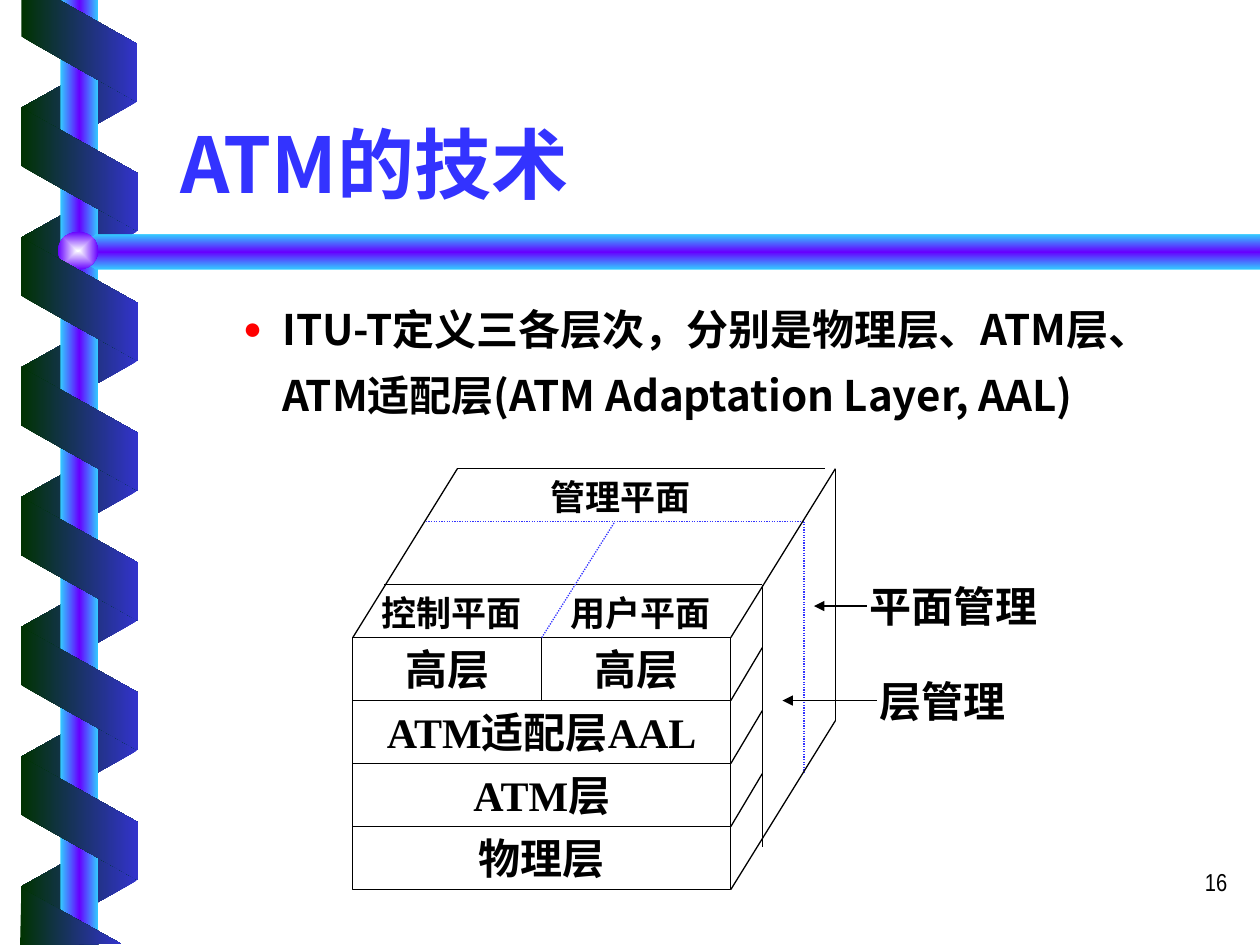
from lxml import etree
from pptx import Presentation, util as u
from pptx.dml.color import RGBColor
from pptx.enum import dml, shapes, text
from pptx.oxml.ns import qn

COLOURS = {
    "blue": "3333FF", "black": "000000", "red": "FF0000",
    "ribbon dark": "003300", "ribbon light": "3333CC",
    "rod edge": "33CCFF", "violet": "6600FF", "glow": "FEFFFF",
}
SANS, SERIF, NARROW = "Noto Sans CJK SC", "Times New Roman", "Arial Narrow"

TITLE = "ATM的技术"
BODY = "ITU-T定义三各层次，分别是物理层、ATM层、ATM适配层(ATM Adaptation Layer, AAL)"
PAGE_NUMBER = "16"
LAYERS = [["高层", "高层"], ["ATM适配层AAL"], ["ATM层"], ["物理层"]]
PLANES = [("控制平面", 2.96, 4.64), ("管理平面", 4.3, 3.72), ("用户平面", 4.46, 4.64)]
# text, box left, top and width, arrow start and end
CALLOUTS = [("层管理", 6.88, 5.31, 1.42, 6.96, 6.21),
            ("平面管理", 6.8, 4.56, 1.75, 6.88, 6.46)]

LEFT, TOP, WIDTH, LAYER_HEIGHT = 2.8, 5.06, 3, 0.5
RIGHT, BOTTOM = LEFT + WIDTH, TOP + LAYER_HEIGHT * len(LAYERS)
# offsets from the front face of the block to its receding edges
NEAR, FAR, BACK = (0.25, -0.42), (0.58, -0.92), (0.83, -1.34)

RIBBON_PITCH = 1.03
RIBBON_BACK = dict(top=0.37, count=7, height=0.92, rotation=90, flip=True,
                   stops=["ribbon light", "ribbon dark"])
RIBBON_FRONT = dict(top=0.88, count=6, height=0.93, rotation=270, flip=False,
                    stops=["ribbon dark", "ribbon light"])
RIBBON_ENDS = [
    [(0.17, 0), (0.17, 0.29), (1.09, 0.81), (1.09, 0.35), (0.47, 0)],
    [(0.96, 7.49), (0.17, 7.05), (0.16, 7.5)],
]
ROD_STOPS = ["rod edge", "violet", "rod edge"]
BAR = [(10, 1.86), (0.76, 1.86), (0.6, 2), (0.76, 2.14), (10, 2.14)]

presentation = Presentation()
presentation.slide_width, presentation.slide_height = u.Inches(10), u.Inches(7.5)
slide = presentation.slides.add_slide(presentation.slide_layouts[1])


def colour(name):
    return RGBColor.from_string(COLOURS[name])


def inches(*values):
    return [u.Inches(value) for value in values]


def add_element(parent, tag, **attributes):
    element = etree.SubElement(parent, qn(tag))
    for name, value in attributes.items():
        element.set(name, str(value))
    return element


def fill_gradient(shape, stops, angle=0, centred=False):
    """Spread the named colours evenly, along an angle or out from the centre."""
    shape.shadow.inherit = False
    shape.line.fill.background()
    shape.fill.gradient()
    gradient = shape._element.spPr.find(qn("a:gradFill"))
    for child in list(gradient):
        gradient.remove(child)
    gradient.set("rotWithShape", "0")
    stop_list = add_element(gradient, "a:gsLst")
    for index, name in enumerate(stops):
        stop = add_element(stop_list, "a:gs", pos=100000 * index // (len(stops) - 1))
        add_element(stop, "a:srgbClr", val=COLOURS[name])
    if centred:
        path = add_element(gradient, "a:path", path="rect")
        add_element(path, "a:fillToRect", l=50000, t=50000, r=50000, b=50000)
    else:
        add_element(gradient, "a:lin", ang=angle * 60000, scaled=1)


def add_outline(points, stops, angle=0):
    start, *others = [tuple(inches(*point)) for point in points]
    builder = slide.shapes.build_freeform(*start)
    builder.add_line_segments(others, close=True)
    fill_gradient(builder.convert_to_shape(), stops, angle)


def add_ribbon(top, count, height, rotation, flip, stops):
    for index in range(count):
        band = slide.shapes.add_shape(
            shapes.MSO_SHAPE.PARALLELOGRAM,
            *inches(0.14, top + index * RIBBON_PITCH, 0.98, height))
        band.adjustments[0] = 0.56
        band.rotation = rotation
        if flip:
            band._element.spPr.xfrm.set("flipH", "1")
        fill_gradient(band, stops)


def write(shape, words, size, font, bold=True, ink="black",
          align=text.PP_ALIGN.LEFT, **frame_format):
    frame = shape.text_frame
    settings = dict(word_wrap=True, auto_size=text.MSO_AUTO_SIZE.NONE,
                    vertical_anchor=text.MSO_ANCHOR.TOP) | frame_format
    for name, value in settings.items():
        setattr(frame, name, value)
    paragraph = frame.paragraphs[0]
    paragraph.alignment, paragraph.space_before = align, u.Pt(0)
    run = paragraph.add_run()
    run.text = words
    for name, value in dict(size=u.Pt(size), name=font, bold=bold).items():
        setattr(run.font, name, value)
    run.font.color.rgb = colour(ink)
    add_element(run.font._element, "a:ea", typeface=SANS)
    return paragraph


def add_label(words, box, size, font, **formats):
    write(slide.shapes.add_textbox(*inches(*box)), words, size, font, **formats)


def add_line(start, end, dotted=False, arrow=False):
    line = slide.shapes.add_connector(
        shapes.MSO_CONNECTOR.STRAIGHT, *inches(*start, *end))
    line.line.width = u.Pt(0.75)
    line.line.color.rgb = colour("blue" if dotted else "black")
    if dotted:
        line.line.dash_style = dml.MSO_LINE.ROUND_DOT
    if arrow:
        add_element(line.line._get_or_add_ln(), "a:tailEnd", type="triangle")
    add_element(line._element.spPr, "a:effectLst")


def shift(x, y, offset):
    return x + offset[0], y + offset[1]


def add_decoration():
    add_ribbon(**RIBBON_BACK)
    rod = slide.shapes.add_shape(shapes.MSO_SHAPE.RECTANGLE, *inches(0.48, 0, 0.3, 7.5))
    fill_gradient(rod, ROD_STOPS)
    add_outline(BAR, ROD_STOPS, angle=90)
    ball = slide.shapes.add_shape(shapes.MSO_SHAPE.OVAL, *inches(0.46, 1.84, 0.32, 0.3))
    fill_gradient(ball, ["glow", "violet"], centred=True)
    add_ribbon(**RIBBON_FRONT)
    for points in RIBBON_ENDS:
        add_outline(points, RIBBON_FRONT["stops"])


def add_title_and_body():
    title, body = slide.placeholders
    for shape, box in [(title, (1.33, 0.46, 8.5, 1.25)), (body, (1.33, 2.24, 8.5, 1.35))]:
        shape.left, shape.top, shape.width, shape.height = inches(*box)
    write(title, TITLE, 44, SANS, ink="blue", vertical_anchor=text.MSO_ANCHOR.BOTTOM)
    paragraph = write(body, BODY, 24, SANS)
    paragraph.level, paragraph.line_spacing = 1, 1.3
    properties = paragraph._p.get_or_add_pPr()
    properties.set("marL", str(u.Inches(0.81)))
    properties.set("indent", str(u.Inches(-0.31)))
    bullet_colour = add_element(properties, "a:buClr")
    add_element(bullet_colour, "a:srgbClr", val=COLOURS["red"])
    add_element(properties, "a:buSzPct", val=75000)
    add_element(properties, "a:buChar", char="●")


def add_layers():
    for row, names in enumerate(LAYERS):
        width = WIDTH / len(names)
        for column, name in enumerate(names):
            layer = slide.shapes.add_shape(
                shapes.MSO_SHAPE.RECTANGLE,
                *inches(LEFT + column * width, TOP + row * LAYER_HEIGHT, width, LAYER_HEIGHT))
            layer.shadow.inherit = False
            layer.fill.background()
            layer.line.color.rgb, layer.line.width = colour("black"), u.Pt(0.75)
            write(layer, name, 24, SERIF, align=text.PP_ALIGN.CENTER,
                  word_wrap=False, vertical_anchor=text.MSO_ANCHOR.MIDDLE)


def add_receding_faces():
    for offset, dotted in [(NEAR, False), (FAR, True), (BACK, False)]:
        x, y = shift(RIGHT, TOP, offset)
        top_end = 6.55 if offset == BACK else x
        side_end = 6.72 if offset == NEAR else y + BOTTOM - TOP
        add_line(shift(LEFT, TOP, offset), (top_end, y), dotted)
        add_line((x, y), (x, side_end), dotted)
    for x, y in [(LEFT, TOP), (RIGHT, TOP), (RIGHT, BOTTOM)]:
        add_line((x, y), shift(x, y, BACK))
    middle = LEFT + WIDTH / 2
    add_line((middle, TOP), shift(middle, TOP, FAR), dotted=True)
    for row in range(1, len(LAYERS)):
        y = TOP + row * LAYER_HEIGHT
        add_line((RIGHT, y), shift(RIGHT, y, NEAR))


add_decoration()
add_title_and_body()
add_label(PAGE_NUMBER, (7.76, 6.83, 2.08, 0.5), 14, NARROW, bold=False,
          align=text.PP_ALIGN.RIGHT)
add_layers()
for name, x, y in PLANES:
    add_label(name, (x, y, 1.25, 0.44), 20, SERIF, align=text.PP_ALIGN.CENTER,
              vertical_anchor=text.MSO_ANCHOR.MIDDLE, margin_left=0, margin_right=0)
add_receding_faces()
for name, x, y, width, start, end in CALLOUTS:
    add_label(name, (x, y, width, 0.5), 24, SERIF)
    add_line((start, y + 0.25), (end, y + 0.25), arrow=True)
presentation.save("out.pptx")
